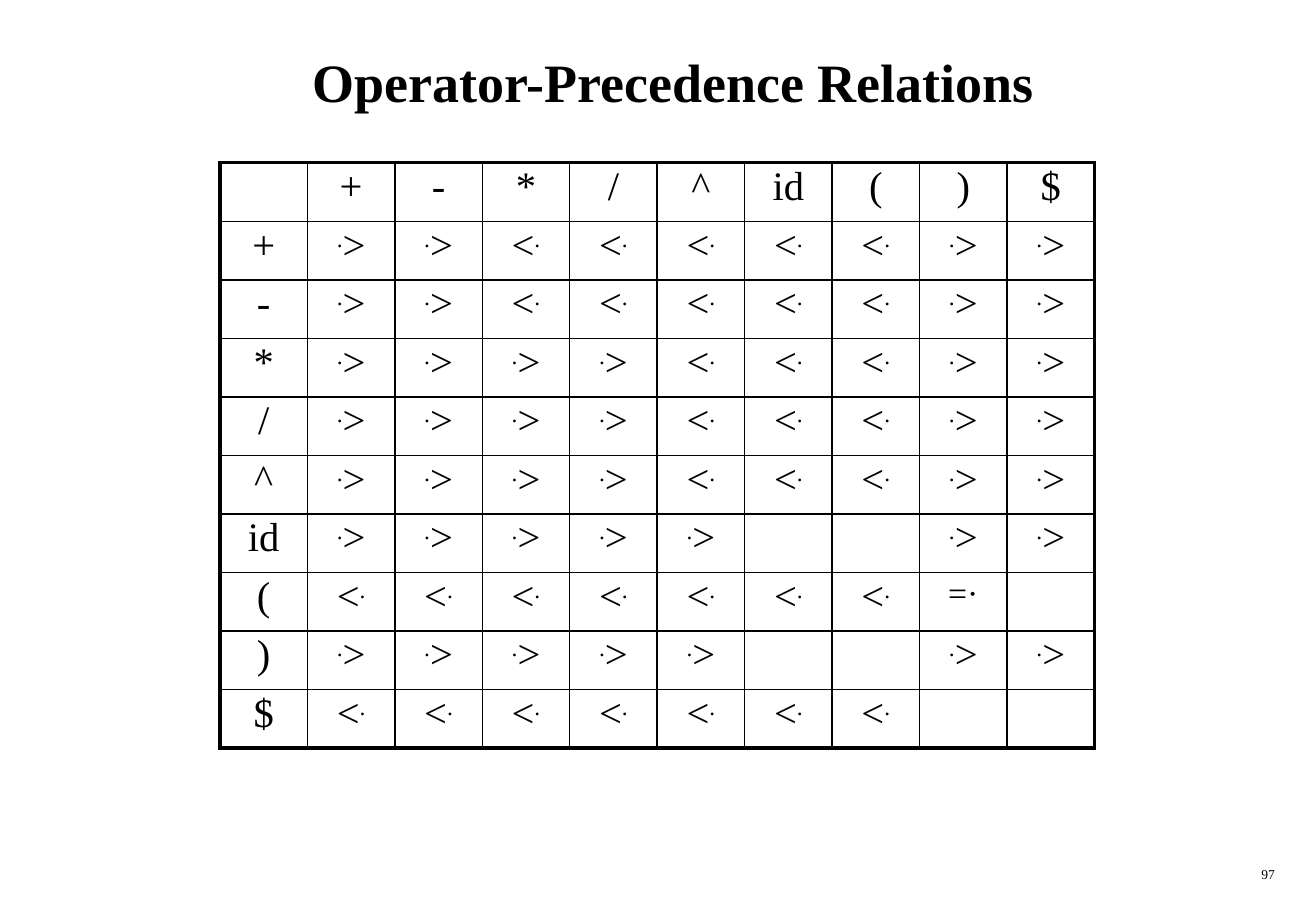
from dataclasses import dataclass

from lxml import etree
from pptx import Presentation
from pptx import util as u
from pptx.dml import color
from pptx.enum import text
from pptx.oxml import ns


@dataclass(frozen=True)
class Theme:
    ink: str = "000000"
    font: str = "Times New Roman"
    title: float = 32
    body: float = 24
    equal: float = 20
    small: float = 8
    thin: float = 1
    thick: float = 2.25
    raised: int = 30000


THEME = Theme()
ALIGN = text.PP_ALIGN
ANCHOR = text.MSO_ANCHOR
SIGNS = ["+", "-", "*", "/", "^", "id", "(", ")", "$"]
# One row per sign on the left, one mark per sign on the top
MARKS = [
    ">><<<<<>>",
    ">><<<<<>>",
    ">>>><<<>>",
    ">>>><<<>>",
    ">>>><<<>>",
    ">>>>>  >>",
    "<<<<<<<= ",
    ">>>>>  >>",
    "<<<<<<<  ",
]
RUNS = {">": [".", ">"], "<": ["<", "."], "=": ["=·"], " ": []}


def apply(item, values):
    for name, value in values.items():
        setattr(item, name, value)


def add_run(para, words, size, bold=False):
    run = para.add_run()
    run.text = words
    apply(run.font, {"name": THEME.font, "size": u.Pt(size), "bold": bold})
    run.font.color.rgb = color.RGBColor.from_string(THEME.ink)
    return run


def add_label(slide, box, words, size, align, anchor, bold=False):
    frame = slide.shapes.add_textbox(*map(u.Pt, box)).text_frame
    apply(frame, {"word_wrap": True, "vertical_anchor": anchor})
    para = frame.paragraphs[0]
    para.alignment = align
    add_run(para, words, size, bold)


def set_edges(cell, widths):
    """Draw the left, right, top and bottom lines of a cell."""
    props = cell._tc.get_or_add_tcPr()
    for spot, (side, width) in enumerate(zip("LRTB", widths)):
        line = etree.Element(ns.qn(f"a:ln{side}"), w=str(u.Pt(width)))
        fill = etree.SubElement(line, ns.qn("a:solidFill"))
        etree.SubElement(fill, ns.qn("a:srgbClr"), val=THEME.ink)
        props.insert(spot, line)


def fill_cell(cell, parts):
    apply(cell, {
        "margin_left": u.Pt(7.9), "margin_right": u.Pt(7.9),
        "margin_top": u.Pt(3.6), "margin_bottom": u.Pt(3.6),
        "vertical_anchor": ANCHOR.TOP,
    })
    cell.fill.background()
    para = cell.text_frame.paragraphs[0]
    apply(para, {"alignment": ALIGN.CENTER, "line_spacing": 0.89})
    for part in parts:
        size = THEME.equal if part == "=·" else THEME.body
        run = add_run(para, part, size)
        if part == ".":
            run._r.get_or_add_rPr().set("baseline", str(THEME.raised))


def add_grid(slide, box):
    """Place the table of relations, with equal rows and columns."""
    count = len(SIGNS) + 1
    left, top, width, height = box
    table = slide.shapes.add_table(count, count, *map(u.Pt, box)).table
    apply(table, {"first_row": False, "horz_banding": False})
    for col in table.columns:
        col.width = u.Pt(width / count)
    for row in table.rows:
        row.height = u.Pt(height / count)

    grid = [[[]] + [[sign] for sign in SIGNS]]
    for sign, marks in zip(SIGNS, MARKS):
        grid.append([[sign]] + [RUNS[mark] for mark in marks])
    last = count - 1
    for r, line in enumerate(grid):
        for c, parts in enumerate(line):
            cell = table.cell(r, c)
            fill_cell(cell, parts)
            outer = (c == 0, c == last, r == 0, r == last)
            set_edges(cell, [THEME.thick if edge else THEME.thin
                             for edge in outer])


def main():
    deck = Presentation()
    apply(deck, {"slide_width": u.Pt(779.76), "slide_height": u.Pt(540)})
    slide = deck.slides.add_slide(deck.slide_layouts[6])
    add_label(slide, (30, 12, 738, 72), "Operator-Precedence Relations",
              THEME.title, ALIGN.CENTER, ANCHOR.MIDDLE, bold=True)
    add_grid(slide, (130.3, 96.5, 518.4, 347))
    add_label(slide, (600, 510, 162.5, 18), "97",
              THEME.small, ALIGN.RIGHT, ANCHOR.TOP)
    deck.save("out.pptx")


if __name__ == "__main__":
    main()
